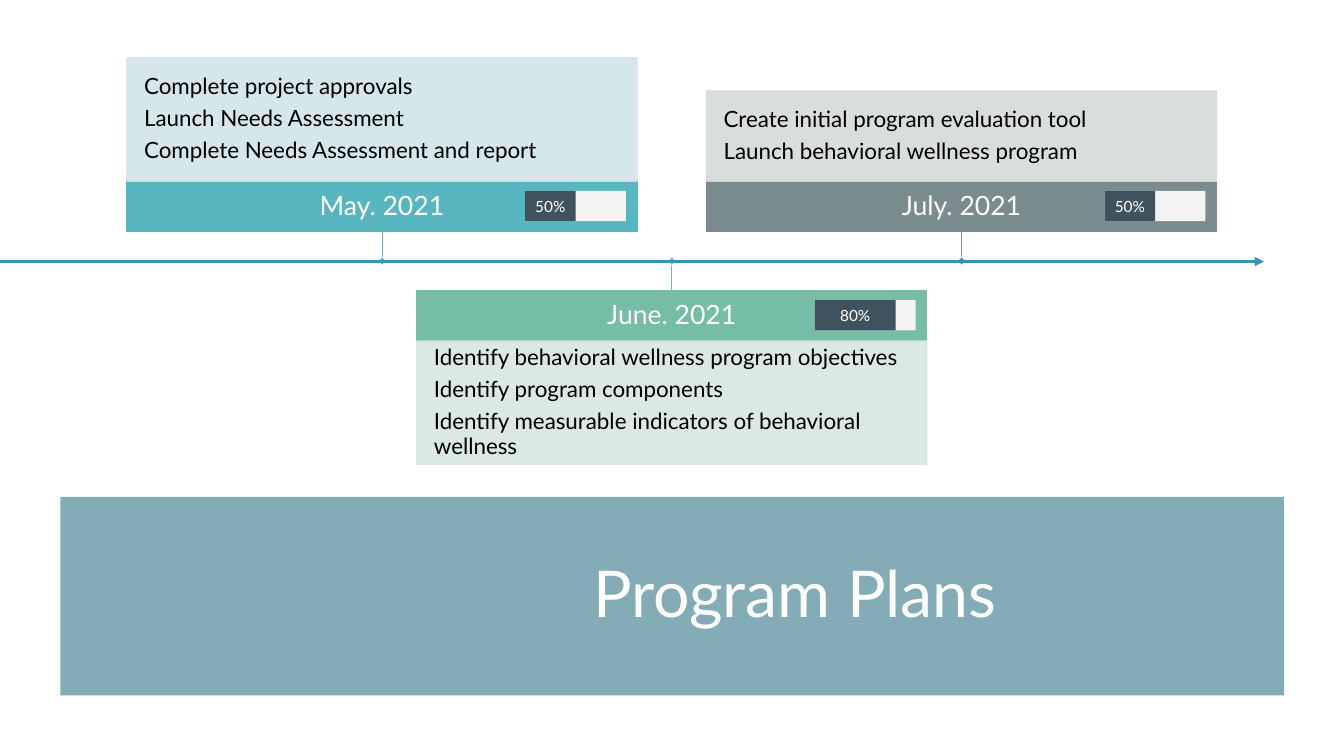
from lxml import etree
from pptx import Presentation
from pptx.dml.color import RGBColor
from pptx.enum.shapes import MSO_CONNECTOR, MSO_SHAPE
from pptx.enum.text import MSO_ANCHOR, MSO_AUTO_SIZE, PP_ALIGN
from pptx.oxml.ns import qn
from pptx.util import Inches, Pt

RECT = MSO_SHAPE.RECTANGLE
LINE = MSO_CONNECTOR.STRAIGHT
MID = MSO_ANCHOR.MIDDLE
FIXED = MSO_AUTO_SIZE.NONE
LEFT, CENTER = PP_ALIGN.LEFT, PP_ALIGN.CENTER

WIDE, HIGH = Inches(13.333), Inches(7.5)
AXIS = 34.53
STEM = 3.87
HEAD = 6.7
CARD = 37.95
FIRST, STEP = 9.45, 21.56

PLANS = [
    ("May. 2021", 50, True, "58B6C0", "D1E5E8",
     ["Complete project approvals", "Launch Needs Assessment",
      "Complete Needs Assessment and report"]),
    ("June. 2021", 80, False, "75BDA7", "D6E8E1",
     ["Identify behavioral wellness program objectives",
      "Identify program components",
      "Identify measurable indicators of behavioral wellness"]),
    ("July. 2021", 50, True, "7A8C8E", "D7DADB",
     ["Create initial program evaluation tool",
      "Launch behavioral wellness program"]),
]


def col(n):
    return round(WIDE * n / 100)


def row(n):
    return round(HIGH * n / 100)


def paint(fmt, tone):
    fmt.solid()
    fmt.fore_color.rgb = RGBColor.from_string(tone)


def fade(fmt, share):
    tone = fmt._xPr.find(".//" + qn("a:srgbClr"))
    etree.SubElement(tone, qn("a:alpha")).set("val", str(share * 1000))


def block(slide, box, tone, edge=None, thick=1):
    x, y, w, h = box
    shape = slide.shapes.add_shape(RECT, col(x), row(y), col(w), row(h))
    shape.shadow.inherit = False
    paint(shape.fill, tone)
    if edge:
        paint(shape.line.fill, edge)
        shape.line.width = Pt(thick)
    else:
        shape.line.fill.background()
    return shape


def write(shape, lines, size, tone, align=CENTER, inset=0, space=0.9):
    frame = shape.text_frame
    frame.word_wrap = True
    frame.auto_size = FIXED
    frame.vertical_anchor = MID
    frame.margin_left = frame.margin_right = Inches(inset)
    frame.margin_top = frame.margin_bottom = Inches(inset)
    frame.text = "\n".join(lines)
    for n, para in enumerate(frame.paragraphs):
        para.alignment = align
        para.line_spacing = space
        para.space_before = Pt(size * 0.35 if n else 0)
        for run in para.runs:
            run.font.name = "Lato"
            run.font.size = Pt(size)
            paint(run.font.fill, tone)


def rule(slide, start, end, tone, thick):
    line = slide.shapes.add_connector(
        LINE, col(start[0]), row(start[1]), col(end[0]), row(end[1]))
    paint(line.line.fill, tone)
    line.line.width = Pt(thick)
    etree.SubElement(line._element.spPr, qn("a:effectLst"))
    return line


def banner(slide, box):
    x, y, w, h = box
    back = block(slide, box, "84ACB6")
    slide.shapes._spTree.insert(2, back._element)
    title = slide.shapes.title
    title.left, title.top = col(x + 2.4), row(y + 3.47)
    title.width, title.height = col(w - 4.8), row(h - 6.94)
    write(title, ["Program Plans"], 46, "FFFFFF", inset=0.1)
    title.text_frame.margin_left = Inches(2.53)


def meter(slide, box, share):
    x, y, w, h = box
    block(slide, box, "F3F3F3")
    part = block(slide, (x, y, w * share / 100, h), "40525E")
    write(part, [f"{share}%"], 11, "FFFFFF", space=1)


def card(slide, x, plan):
    date, share, above, tone, pale, lines = plan
    tall = 3.13 + 4.4 * len(lines)
    top = AXIS - STEM - HEAD if above else AXIS + STEM
    mid = x + CARD / 2
    head = block(slide, (x, top, CARD, HEAD), tone, tone)
    write(head, [date], 19, "FFFFFF", inset=0.11)
    start = top - tall if above else top + HEAD
    body = block(slide, (x, start, CARD, tall), pale, pale)
    fade(body.fill, 90)
    fade(body.line.fill, 90)
    write(body, lines, 16, "000000", LEFT, 0.17)
    near = top + HEAD if above else top
    rule(slide, (mid, near), (mid, AXIS), tone, 0.5)
    dot = block(slide, (mid - 0.22, AXIS - 0.4, 0.45, 0.8),
                tone, "FFFFFF", 0.5)
    dot.rotation = 45
    meter(slide, (x + 29.63, top + 1.3, 7.5, 4), share)


def arrow(slide):
    line = rule(slide, (0, 34.6), (94.05, 34.6), "3494BA", 2.25)
    tip = etree.SubElement(line.line._get_or_add_ln(), qn("a:tailEnd"))
    tip.set("type", "triangle")


def main():
    deck = Presentation()
    deck.slide_width, deck.slide_height = WIDE, HIGH
    slide = deck.slides.add_slide(deck.slide_layouts[5])
    banner(slide, (4.5, 65.73, 91.05, 26.27))
    rule(slide, (6.9, AXIS), (93.15, AXIS), "58B6C0", 1)
    for n, plan in enumerate(PLANS):
        card(slide, FIRST + n * STEP, plan)
    arrow(slide)
    deck.save("out.pptx")


if __name__ == "__main__":
    main()
